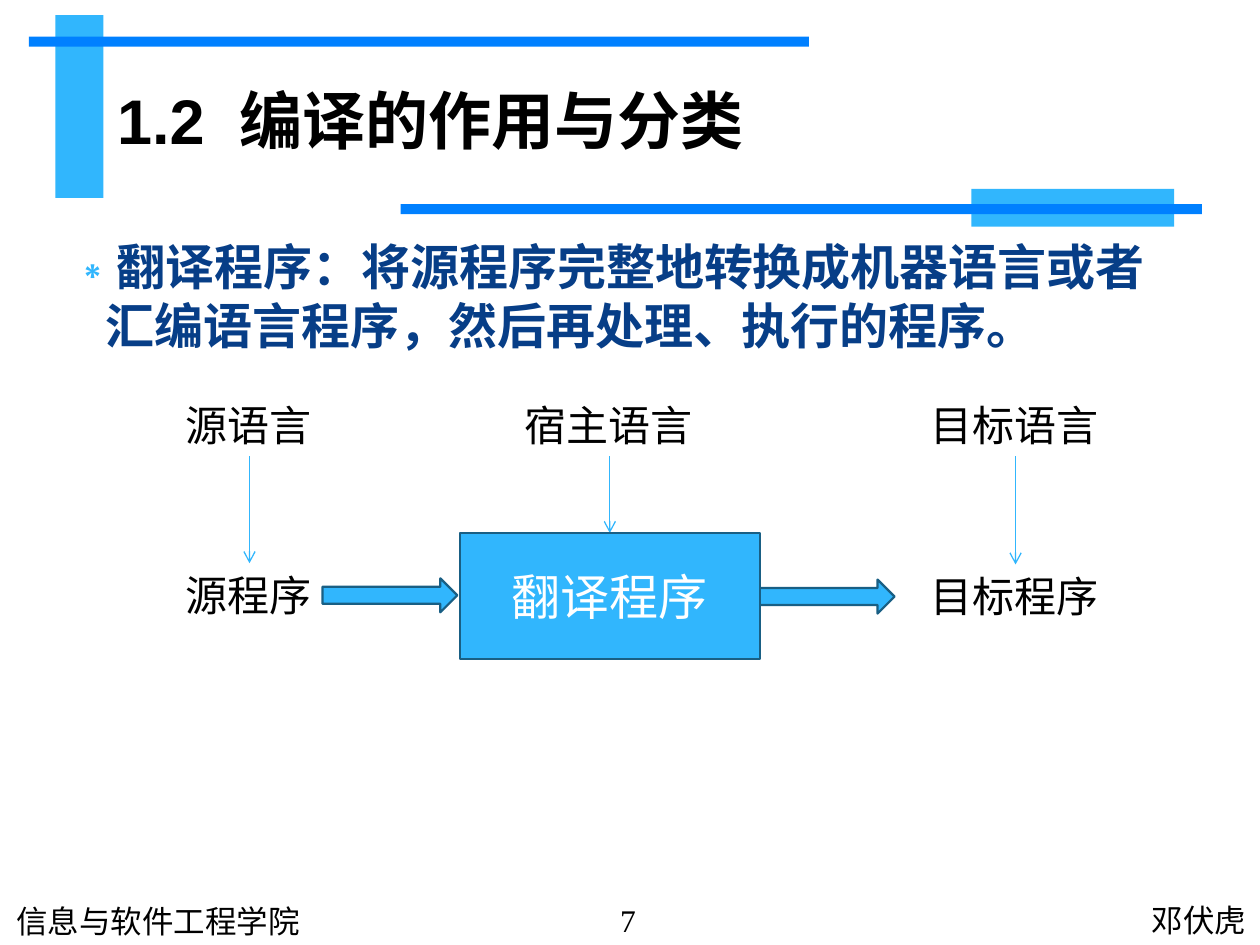
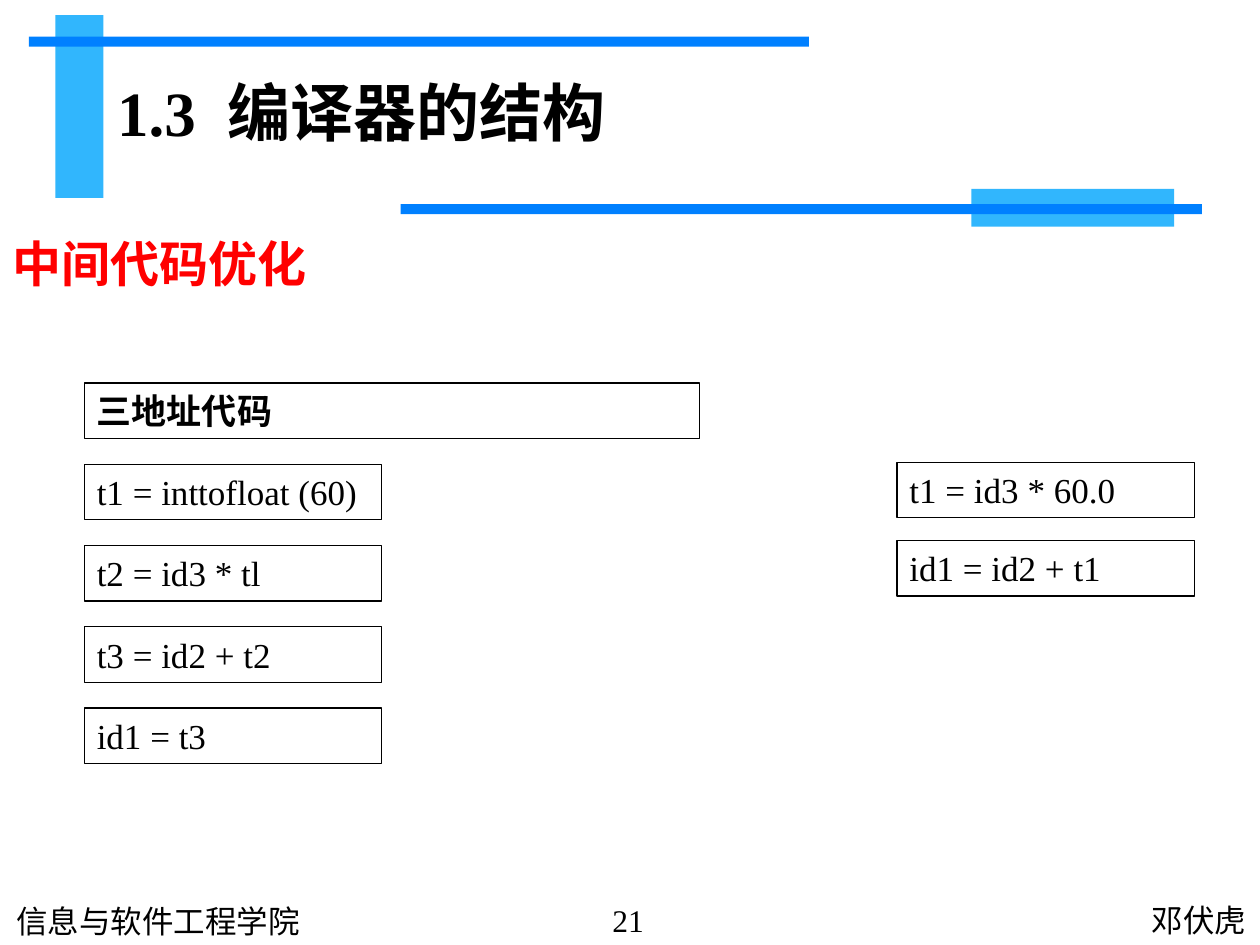
from lxml.etree import SubElement
from pptx import Presentation
from pptx.dml.color import RGBColor
from pptx.enum.lang import MSO_LANGUAGE_ID as LANG
from pptx.enum.shapes import MSO_CONNECTOR, MSO_SHAPE
from pptx.enum.text import MSO_ANCHOR, MSO_AUTO_SIZE, PP_ALIGN
from pptx.oxml.ns import qn
from pptx.util import Inches, Pt

SKY, BLUE, NAVY, EDGE = "31B6FD", "0080FF", "073E87", "195F84"
RED, BLACK, WHITE = "FF0000", "000000", "FFFFFF"
SANS, SERIF, HEAD = "Cabin", "Times New Roman", "Arial"
LEFT, MID, RIGHT = PP_ALIGN.LEFT, PP_ALIGN.CENTER, PP_ALIGN.RIGHT

deck = Presentation()
deck.slide_width, deck.slide_height = Inches(10), Inches(7.5)
U = deck.slide_width / 100  # the slide is a grid of 100 columns by 75 rows


def hue(code):
    return RGBColor.from_string(code)


def box(shape, at, text="", size=18, face=SANS, color=BLACK, bold=False,
        align=LEFT, anchor=MSO_ANCHOR.TOP, wrap=True, fill=None, edge=None, wide=0.75):
    """Place and format a shape; text is a string or a list of (text, face, spacing)."""
    shape.left, shape.top, shape.width, shape.height = [round(n * U) for n in at]
    if fill:
        shape.fill.solid()
        shape.fill.fore_color.rgb = hue(fill)
    else:
        shape.fill.background()
    if edge:
        shape.line.color.rgb = hue(edge)
        shape.line.width = Pt(wide)
    else:
        shape.line.fill.background()
    if hasattr(shape, "shadow"):
        shape.shadow.inherit = False
    frame = shape.text_frame
    for key, val in dict(word_wrap=wrap, vertical_anchor=anchor,
                         auto_size=MSO_AUTO_SIZE.NONE).items():
        setattr(frame, key, val)
    para = frame.paragraphs[0]
    para.alignment = align
    para.space_before = Pt(0)
    parts = [(text, face, 0)] if isinstance(text, str) else text
    for words, name, gap in parts:
        if not words:
            continue
        run = para.add_run()
        run.text = words
        look = dict(size=Pt(size), name=name, bold=bold,
                    language_id=LANG.SIMPLIFIED_CHINESE)
        for key, val in look.items():
            setattr(run.font, key, val)
        run.font.color.rgb = hue(color)
        if gap:
            run.font._element.set("spc", str(gap * 100))
    return para


# Shared bands, kept on the layout
plan = deck.slide_layouts[1]
pages = [deck.slides.add_slide(plan) for _ in range(2)]
bands = [((4.4, 1.2, 3.8, 14.5), SKY), ((2.3, 2.9, 61.9, 0.8), BLUE),
         ((77.1, 15, 16.1, 3), SKY), ((31.8, 16.2, 63.6, 0.8), BLUE)]
for at, tint in bands:
    band = pages[0].shapes.add_shape(MSO_SHAPE.RECTANGLE, 0, 0, 0, 0)
    box(band, at, fill=tint)
    plan.shapes._spTree.append(band._element)

# Titles, body lists and footers
heads = [([("1.2", HEAD, 0), (" ", HEAD, 10), ("编译的作用与分类", HEAD, 0)],
          (8.3, 4.4, 77.2, 10.2)),
         ([("1.3", SERIF, 0), (" ", SERIF, 9), ("编译器的结构", HEAD, 0)],
          (8.3, 3, 74.6, 11.7))]
leads = [("翻译程序：将源程序完整地转换成机器语言或者汇编语言程序，然后再处理、执行的程序。",
          (4.4, 18.3, 91, 10.2), NAVY, "∗", 0.3),
         ("中间代码优化", (0, 18, 99.9, 49), RED, None, 0)]
for page, (title, spot), (lead, at, tint, mark, dent), num in zip(
        pages, heads, leads, ["7", "21"]):
    box(page.shapes.title, spot, title, 36, bold=True, anchor=MSO_ANCHOR.MIDDLE)
    props = box(page.placeholders[1], at, lead, 28, color=tint, bold=True)._p.get_or_add_pPr()
    props.set("marL", str(Inches(dent)))
    props.set("indent", str(-Inches(dent)))
    if mark:
        SubElement(SubElement(props, qn("a:buClr")), qn("a:srgbClr"), val=SKY)
        SubElement(props, qn("a:buChar"), char=mark)
    else:
        SubElement(props, qn("a:buNone"))
    feet = [("邓伏虎", (58.5, 71, 41.4, 4), SANS, RIGHT),
            ("信息与软件工程学院", (0.3, 71.1, 41.4, 4), SANS, LEFT),
            (num, (43.5, 71, 12.7, 4), SERIF, MID)]
    for text, at, face, side in feet:
        box(page.shapes.add_textbox(0, 0, 0, 0), at, text, face=face, align=side)

# Slide 1: translation flow in three columns, each language pointing down
flow = pages[0].shapes
cols = [(19.8, 12.1, "源语言", "源程序", 44.7), (48.4, 15.5, "宿主语言", None, 42.3),
        (80.6, 15.5, "目标语言", "目标程序", 44.8)]
for mid, wide, top, low, end in cols:
    for text, row in [(top, 31.2), (low, end)]:
        if text:
            box(flow.add_textbox(0, 0, 0, 0), (mid - wide / 2, row, wide, 5),
                text, 24, wrap=False)
    line = flow.add_connector(MSO_CONNECTOR.STRAIGHT,
                              *[round(n * U) for n in (mid, 36.2, mid, end)])
    line.line.color.rgb = hue(SKY)
    line.line.width = Pt(0.75)
    SubElement(line.line._get_or_add_ln(), qn("a:tailEnd"), type="arrow")
    SubElement(line._element.spPr, qn("a:effectLst"))
for left, row in [(25.6, 45.9), (60.3, 46)]:
    box(flow.add_shape(MSO_SHAPE.RIGHT_ARROW, 0, 0, 0, 0), (left, row, 10.7, 2.7),
        fill=SKY, edge=EDGE, wide=1.25)
box(flow.add_shape(MSO_SHAPE.RECTANGLE, 0, 0, 0, 0), (36.5, 42.3, 23.8, 10), "翻译程序",
    28, color=WHITE, align=MID, anchor=MSO_ANCHOR.MIDDLE, fill=SKY, edge=EDGE, wide=1.25)

# Slide 2: three-address code on the left, optimised code on the right
before = ["三地址代码", "t1 = inttofloat (60)", "t2 = id3 * tl", "t3 = id2 + t2", "id1 = t3"]
after = ["t1 = id3 * 60.0", "id1 = id2 + t1"]
for left, top, step, codes in [(6.7, 30.4, 6.45, before), (71.2, 36.7, 6.2, after)]:
    for i, code in enumerate(codes):
        label = code == before[0]
        box(pages[1].shapes.add_shape(MSO_SHAPE.RECTANGLE, 0, 0, 0, 0),
            (left, top + i * step, 48.8 if label else 23.6, 4.4),
            code, 20, SERIF, bold=label, edge=BLACK)

deck.save("out.pptx")
